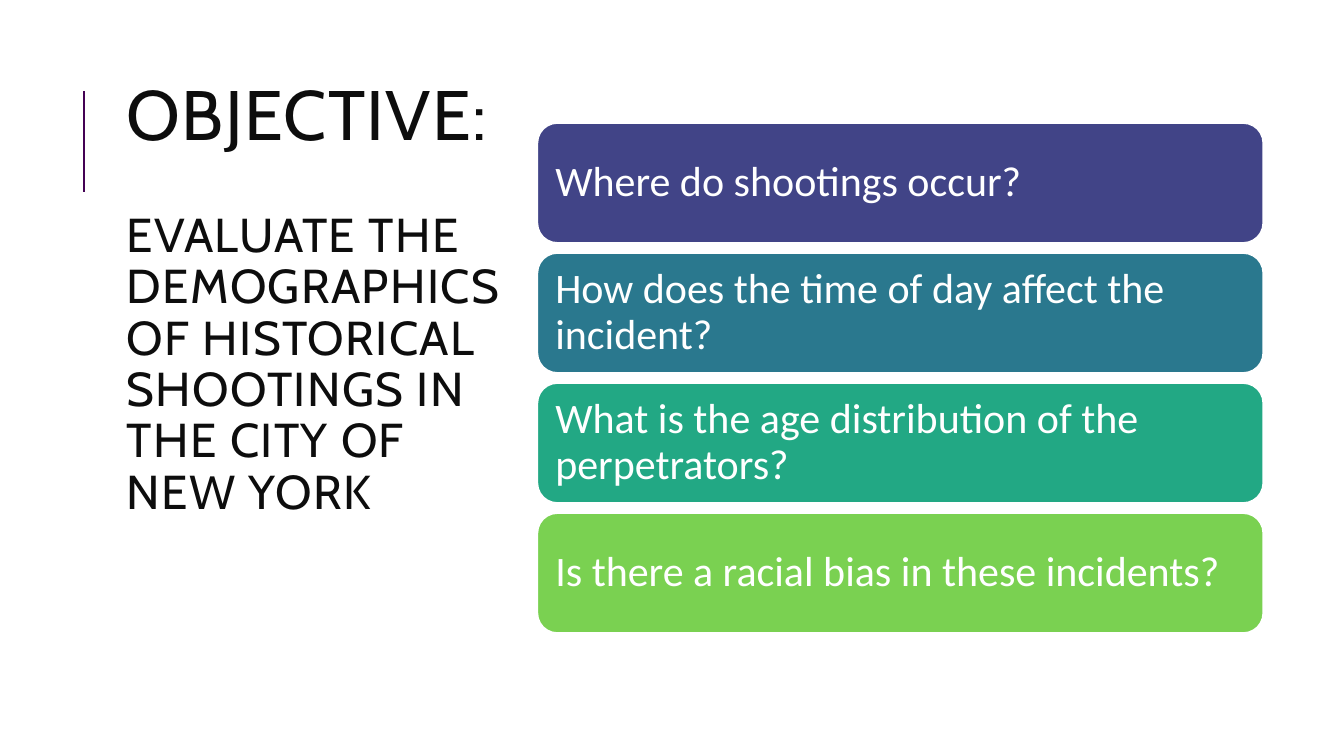
from dataclasses import dataclass

import pptx
import pptx.dml.color
import pptx.enum.shapes
import pptx.enum.text
import pptx.oxml.ns
import pptx.slide
import pptx.text.text
import pptx.util
from lxml import etree

EMU_PER_PX = 9144


@dataclass(frozen=True)
class Question:
    text: str
    fill: str


@dataclass(frozen=True)
class Heading:
    text: str
    size: int
    space_after: int


QUESTIONS = [
    Question("Where do shootings occur?", "414487"),
    Question("How does the time of day affect the incident?", "2A788E"),
    Question("What is the age distribution of the perpetrators?", "22A884"),
    Question("Is there a racial bias in these incidents?", "7AD151"),
]
HEADINGS = [
    Heading("OBJECTIVE:", 50, 40),
    Heading("EVALUATE THE DEMOGRAPHICS OF HISTORICAL SHOOTINGS IN THE CITY OF NEW YORK", 34, 0),
]
QUESTION_TOP, QUESTION_PITCH = 122, 129


def px(length: int) -> pptx.util.Emu:
    """Turn px into EMU."""
    return pptx.util.Emu(length * EMU_PER_PX)


def rgb(value: str) -> pptx.dml.color.RGBColor:
    """Turn a hex string into a colour."""
    return pptx.dml.color.RGBColor.from_string(value)


def format_paragraph(p: pptx.text.text._Paragraph, font: str, size: int, color: str) -> None:
    """Set the spacing, alignment and font of a paragraph."""
    p.line_spacing = 0.9
    p.alignment = pptx.enum.text.PP_ALIGN.LEFT
    for r in p.runs:
        r.font.name = font
        r.font.size = pptx.util.Pt(size)
        r.font.color.rgb = rgb(color)


def draw_accent(s: pptx.slide.Slide) -> None:
    """Draw the vertical line beside the title."""
    line = s.shapes.add_connector(
        pptx.enum.shapes.MSO_CONNECTOR.STRAIGHT, px(83), px(190), px(83), px(90))
    line.line.color.rgb = rgb("440154")
    line.line.width = pptx.util.Pt(1.5)
    etree.SubElement(line._element.spPr, pptx.oxml.ns.qn("a:effectLst"))


def draw_title(s: pptx.slide.Slide, headings: list[Heading]) -> None:
    """Draw the title with one paragraph for each heading."""
    sp = s.shapes.add_textbox(px(116), px(74), px(400), px(490))
    tf = sp.text_frame
    tf.word_wrap = True
    tf.text = "\n".join(heading.text for heading in headings)
    for p, heading in zip(tf.paragraphs, headings):
        format_paragraph(p, "Cabin", heading.size, "0D0D0D")
        p.space_after = pptx.util.Pt(heading.space_after)
        for r in p.runs:
            r._r.get_or_add_rPr().set("spc", "100")


def draw_question(s: pptx.slide.Slide, question: Question, top: int) -> None:
    """Draw a rounded card holding one question."""
    sp = s.shapes.add_shape(
        pptx.enum.shapes.MSO_SHAPE.ROUNDED_RECTANGLE, px(533), px(top), px(720), px(119))
    sp.shadow.inherit = False
    sp.fill.solid()
    sp.fill.fore_color.rgb = rgb(question.fill)
    sp.line.color.rgb = rgb("FFFFFF")
    sp.line.width = pptx.util.Pt(1.25)
    tf = sp.text_frame
    tf.word_wrap = True
    tf.vertical_anchor = pptx.enum.text.MSO_ANCHOR.MIDDLE
    tf.margin_left = tf.margin_right = px(12)
    tf.margin_top = tf.margin_bottom = px(12)
    tf.text = question.text
    format_paragraph(tf.paragraphs[0], "Calibri", 30, "FFFFFF")


def main() -> None:
    """Build the slide and save it."""
    prs = pptx.Presentation()
    prs.slide_width, prs.slide_height = px(1333), px(750)
    s = prs.slides.add_slide(prs.slide_layouts[6])
    draw_accent(s)
    draw_title(s, HEADINGS)
    for i, question in enumerate(QUESTIONS):
        draw_question(s, question, QUESTION_TOP + i * QUESTION_PITCH)
    prs.save("out.pptx")


if __name__ == "__main__":
    main()
